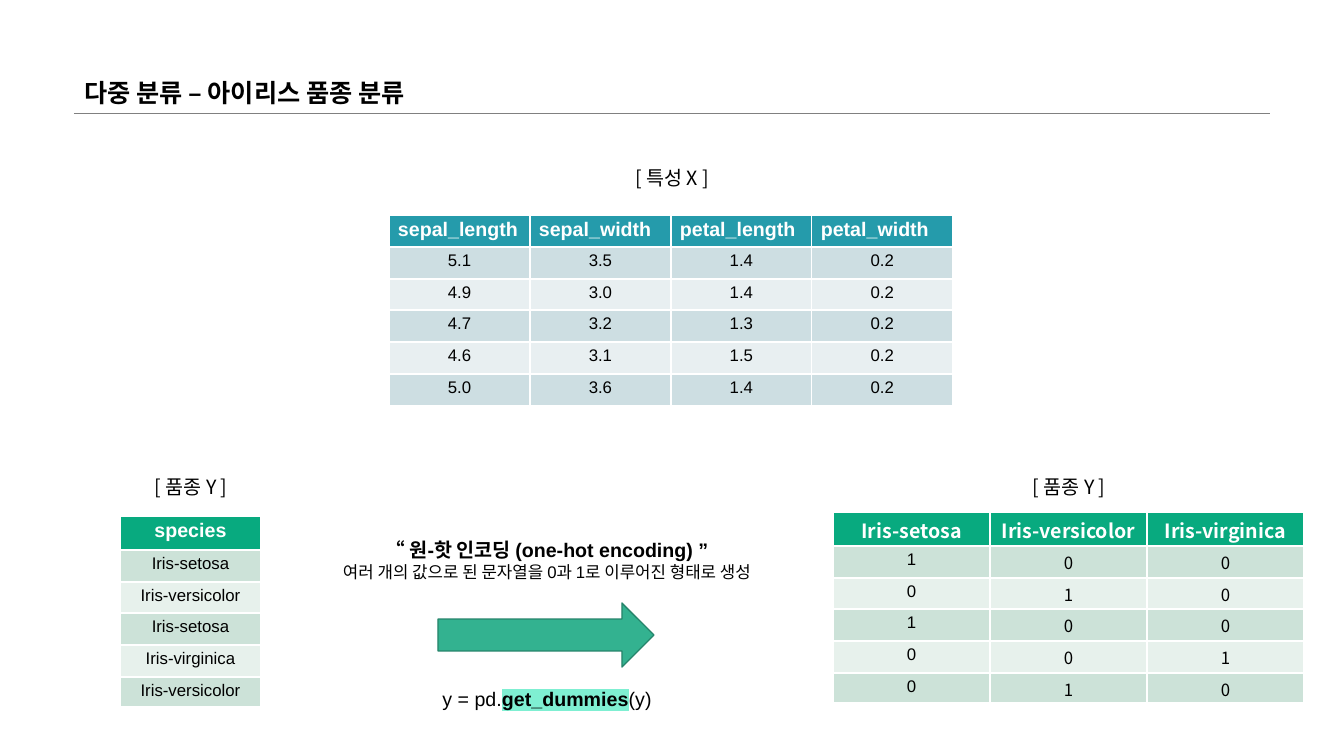
from lxml import etree
from pptx import Presentation
from pptx.dml.color import RGBColor
from pptx.enum.shapes import MSO_CONNECTOR, MSO_SHAPE
from pptx.enum.text import MSO_ANCHOR, PP_ALIGN
from pptx.oxml.ns import qn
from pptx.util import Emu, Pt

PX = 914400 / 100.8
LEFT, CENTER = PP_ALIGN.LEFT, PP_ALIGN.CENTER
TOP, BOTTOM = MSO_ANCHOR.TOP, MSO_ANCHOR.BOTTOM
STRAIGHT, RIGHT_ARROW = MSO_CONNECTOR.STRAIGHT, MSO_SHAPE.RIGHT_ARROW
LATIN, KOREAN = "Arial", "Noto Sans CJK SC"
TITLE_LAYOUT = 5

COLORS = {
    "black": "000000", "white": "FFFFFF", "rule": "808080",
    "teal": "259BAB", "teal_dark": "CDDEE2", "teal_light": "E8EFF1",
    "green": "08AA7F", "green_dark": "CCE2D8", "green_light": "E7F1EC",
    "arrow": "33B290", "arrow_edge": "26846B", "highlight": "7FEFD2",
}

FEATURES = [
    ["sepal_length", "sepal_width", "petal_length", "petal_width"],
    ["5.1", "3.5", "1.4", "0.2"],
    ["4.9", "3.0", "1.4", "0.2"],
    ["4.7", "3.2", "1.3", "0.2"],
    ["4.6", "3.1", "1.5", "0.2"],
    ["5.0", "3.6", "1.4", "0.2"],
]
CLASSES = ["Iris-setosa", "Iris-versicolor", "Iris-virginica"]
SPECIES = [["species"]] + [[CLASSES[i]] for i in (0, 1, 0, 2, 1)]
ONE_HOT = [CLASSES] + [[str(int(name == species)) for name in CLASSES]
                       for [species] in SPECIES[1:]]
FEATURE_ROWS = [32, 32, 31, 32, 32, 32]
SPECIES_ROWS = [34, 32, 31, 32, 32, 30]


def px(*lengths):
    return [Emu(round(length * PX)) for length in lengths]


def rgb(name):
    return RGBColor.from_string(COLORS[name])


def style_run(run, size, font=LATIN, color="black", bold=False):
    run.font.size = Pt(size)
    run.font.bold = bold
    run.font.color.rgb = rgb(color)
    run.font.name = font
    east_asian = etree.Element(qn("a:ea"), typeface=KOREAN)
    run.font._element.find(qn("a:latin")).addnext(east_asian)


def highlight(run, color):
    mark = etree.Element(qn("a:highlight"))
    etree.SubElement(mark, qn("a:srgbClr"), val=COLORS[color])
    run.font._element.find(qn("a:solidFill")).addnext(mark)


def add_text(slide, box, lines):
    """Add centred paragraphs, each given as a list of (text, style) runs."""
    frame = slide.shapes.add_textbox(*px(*box)).text_frame
    frame.word_wrap = True
    for i, line in enumerate(lines):
        paragraph = frame.add_paragraph() if i else frame.paragraphs[0]
        paragraph.alignment = CENTER
        for text, style in line:
            run = paragraph.add_run()
            run.text = text
            style_run(run, **style)
    return frame


def add_label(slide, box, text):
    frame = add_text(slide, box, [[(text, {"size": 14, "font": KOREAN})]])
    frame.paragraphs[0].line_spacing = 2.0


def add_data_table(slide, left, top, column_width, row_heights, rows, hue,
                   header_align=CENTER, header_font=LATIN, later_font=LATIN):
    columns = len(rows[0])
    table = slide.shapes.add_table(
        len(rows), columns,
        *px(left, top, column_width * columns, sum(row_heights))).table
    for column in table.columns:
        column.width = px(column_width)[0]
    for r, (row, height) in enumerate(zip(rows, row_heights)):
        table.rows[r].height = px(height)[0]
        header = r == 0
        fill = hue if header else hue + ("_dark" if r % 2 else "_light")
        for c, value in enumerate(row):
            cell = table.cell(r, c)
            cell.fill.solid()
            cell.fill.fore_color.rgb = rgb(fill)
            cell.margin_left, cell.margin_right = px(9, 9)
            cell.margin_top, cell.margin_bottom = px(4, 0)
            cell.vertical_anchor = TOP
            cell.text_frame.text = value
            paragraph = cell.text_frame.paragraphs[0]
            paragraph.alignment = header_align if header else CENTER
            if header:
                style_run(paragraph.runs[0], 14, header_font, "white", True)
            else:
                style_run(paragraph.runs[0], 12, later_font if c else LATIN)


def add_title(slide, text):
    title = slide.shapes.title
    title.left, title.top, title.width, title.height = px(74, 0, 1196, 113)
    frame = title.text_frame
    frame.text = text
    frame.vertical_anchor = BOTTOM
    paragraph = frame.paragraphs[0]
    paragraph.alignment = LEFT
    paragraph.line_spacing = 0.9
    style_run(paragraph.runs[0], 18, KOREAN, bold=True)


def add_rule(slide, x1, x2, y):
    rule = slide.shapes.add_connector(STRAIGHT, *px(x1, y, x2, y))
    rule.line.color.rgb = rgb("rule")
    rule.line.width = Pt(0.25)
    etree.SubElement(rule._element.spPr, qn("a:effectLst"))


def add_arrow(slide, box):
    arrow = slide.shapes.add_shape(RIGHT_ARROW, *px(*box))
    arrow.shadow.inherit = False
    arrow.fill.solid()
    arrow.fill.fore_color.rgb = rgb("arrow")
    arrow.line.color.rgb = rgb("arrow_edge")
    arrow.line.width = Pt(1)


def main():
    prs = Presentation()
    prs.slide_width, prs.slide_height = px(1344, 756)
    slide = prs.slides.add_slide(prs.slide_layouts[TITLE_LAYOUT])

    # Heading
    add_rule(slide, 74, 1270, 113)
    add_title(slide, "다중 분류 – 아이리스 품종 분류")

    # Features
    add_label(slide, (411, 137, 522, 50), "[ 특성 X ]")
    add_data_table(slide, 389, 215, 141, FEATURE_ROWS, FEATURES, "teal",
                   header_align=LEFT)

    # Species as names
    add_label(slide, (92, 446, 198, 50), "[ 품종 Y ]")
    add_data_table(slide, 120, 516, 141, SPECIES_ROWS, SPECIES, "green")

    # Encoding step
    add_arrow(slide, (438, 603, 216, 64))
    add_text(slide, (311, 533, 472, 54), [
        [("“ 원-핫 인코딩 (one-hot encoding) ”", {"size": 14, "bold": True})],
        [("여러 개의 값으로 된 문자열을 0과 1로 이루어진 형태로 생성",
          {"size": 12})],
    ])
    code = add_text(slide, (387, 682, 320, 34), [[
        ("y = pd.", {"size": 14}),
        ("get_dummies", {"size": 14, "bold": True}),
        ("(y)", {"size": 14}),
    ]])
    highlight(code.paragraphs[0].runs[1], "highlight")

    # Species as one-hot columns
    add_data_table(slide, 833, 512, 157, SPECIES_ROWS, ONE_HOT, "green",
                   header_font=KOREAN, later_font=KOREAN)
    add_label(slide, (970, 446, 198, 50), "[ 품종 Y ]")

    prs.save("out.pptx")


main()
